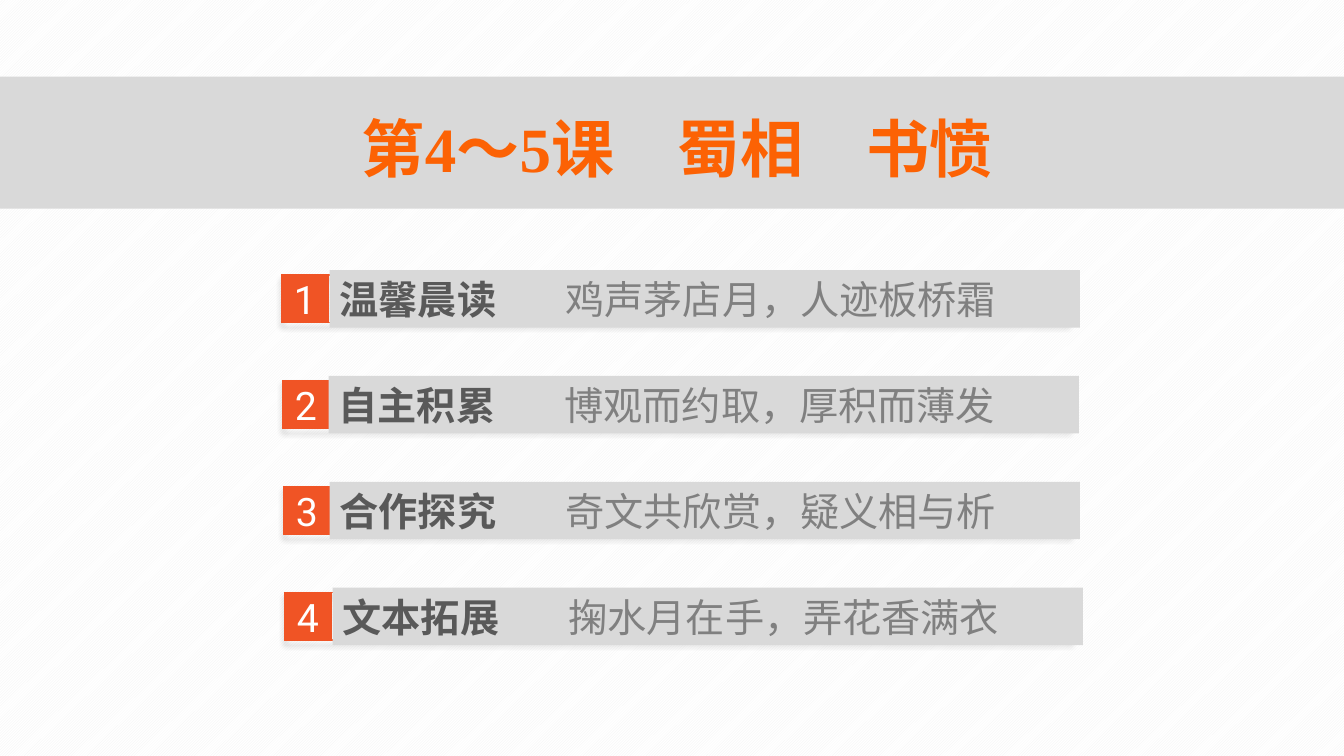
import pptx
import pptx.dml.color
import pptx.enum.dml
import pptx.enum.shapes
import pptx.enum.text
import pptx.oxml
import pptx.oxml.ns
import pptx.util
from lxml import etree

Inches = pptx.util.Inches
ALIGN = pptx.enum.text.PP_ALIGN
COLORS = {
    "band": "D9D9D9", "accent": "F05425", "title": "FC6204", "heading": "595959",
    "phrase": "808080", "white": "FFFFFF", "stripe": "F2F2F2", "shadow": "000000",
}
CJK = "Noto Sans CJK SC"
FIRST_TOP, ROW_STEP, BAR_RISE = 2.73, 1.05, 0.05
FIRST_LEFT, LEFT_STEP, NUMBER_SIZE = 2.79, 0.01, 0.47

# Heading, phrase, left edge of the bar
ROWS = [
    ("温馨晨读", "鸡声茅店月，人迹板桥霜", 3.27),
    ("自主积累", "博观而约取，厚积而薄发", 3.26),
    ("合作探究", "奇文共欣赏，疑义相与析", 3.27),
    ("文本拓展", "掬水月在手，弄花香满衣", 3.3),
]


def rgb(name):
    return pptx.dml.color.RGBColor.from_string(COLORS[name])


class LessonSlide:
    def __init__(self, deck):
        self.page = deck.slides.add_slide(deck.slide_layouts[5])

    def background(self):
        fill = self.page.background.fill
        fill.patterned()
        fill.pattern = pptx.enum.dml.MSO_PATTERN.LIGHT_UPWARD_DIAGONAL
        fill.fore_color.rgb = rgb("stripe")
        fill.back_color.rgb = rgb("white")

    def rectangle(self, parent, place, fill=None, line=None):
        box = parent.shapes.add_shape(
            pptx.enum.shapes.MSO_SHAPE.RECTANGLE, *map(Inches, place))
        box.shadow.inherit = False
        if fill:
            box.fill.solid()
            box.fill.fore_color.rgb = rgb(fill)
        else:
            box.fill.background()
        if line:
            box.line.color.rgb = rgb(line)
            box.line.width = pptx.util.Pt(1)
        else:
            box.line.fill.background()
        return box

    def drop_shadow(self, box):
        effects = box._element.spPr.find(pptx.oxml.ns.qn("a:effectLst"))
        effects.append(pptx.oxml.parse_xml(
            f'<a:outerShdw {pptx.oxml.ns.nsdecls("a")} blurRad="50800" dist="38100" '
            f'dir="5400000" algn="t" rotWithShape="0"><a:srgbClr val="{COLORS["shadow"]}">'
            '<a:alpha val="40000"/></a:srgbClr></a:outerShdw>'))

    def set_text(self, box, spans, align, tab=None):
        frame = box.text_frame
        settings = {"word_wrap": True, "auto_size": pptx.enum.text.MSO_AUTO_SIZE.NONE,
                    "vertical_anchor": pptx.enum.text.MSO_ANCHOR.MIDDLE}
        for name, value in settings.items():
            setattr(frame, name, value)
        para = frame.paragraphs[0]
        para.alignment = align
        if tab:
            stops = etree.SubElement(para._p.get_or_add_pPr(), pptx.oxml.ns.qn("a:tabLst"))
            etree.SubElement(stops, pptx.oxml.ns.qn("a:tab"), pos=str(Inches(tab)), algn="l")
        for text, color, font in spans:
            span = para.add_run()
            span.text = text
            for name, value in font.items():
                setattr(span.font, name, value)
            span.font.color.rgb = rgb(color)
            east_asian = etree.SubElement(span.font._element, pptx.oxml.ns.qn("a:ea"))
            east_asian.set("typeface", CJK)

    def title(self, text):
        title = self.page.shapes.title
        place = {"left": 2.87, "top": 1.05, "width": 7.69, "height": 0.82}
        for name, value in place.items():
            setattr(title, name, Inches(value))
        font = {"name": "Times New Roman", "size": pptx.util.Pt(45), "bold": True}
        self.set_text(title, [(text, "title", font)], ALIGN.CENTER)
        # Band behind the title
        band = self.rectangle(self.page, (0, 0.76, 13.33, 1.31), fill="band")
        title._element.addprevious(band._element)

    def row(self, index, heading, phrase, bar_left):
        group = self.page.shapes.add_group_shape()
        left = FIRST_LEFT + index * LEFT_STEP
        top = FIRST_TOP + index * ROW_STEP
        size = pptx.util.Pt(28)

        # Outline with shadow
        outline = self.rectangle(group, (left, top, 7.79, NUMBER_SIZE), line="accent")
        self.drop_shadow(outline)

        # Number square
        square = self.rectangle(group, (left, top, NUMBER_SIZE, NUMBER_SIZE),
                                fill="accent", line="accent")
        self.set_text(square, [(str(index + 1), "white", {"name": "Roboto", "size": size})],
                      ALIGN.CENTER)

        # Bar with heading and phrase
        bar = self.rectangle(group, (bar_left, top - BAR_RISE, 7.44, 0.57), fill="band")
        font = {"name": CJK, "size": size}
        self.set_text(bar, [(heading + "\t", "heading", {**font, "bold": True}),
                            (phrase, "phrase", {**font, "bold": False})],
                      ALIGN.LEFT, tab=2.24)


def main():
    deck = pptx.Presentation()
    deck.slide_width, deck.slide_height = Inches(13.33), Inches(7.5)
    lesson = LessonSlide(deck)
    lesson.background()
    lesson.title("第4～5课　蜀相　书愤")
    for index, row in enumerate(ROWS):
        lesson.row(index, *row)
    deck.save("out.pptx")


if __name__ == "__main__":
    main()
